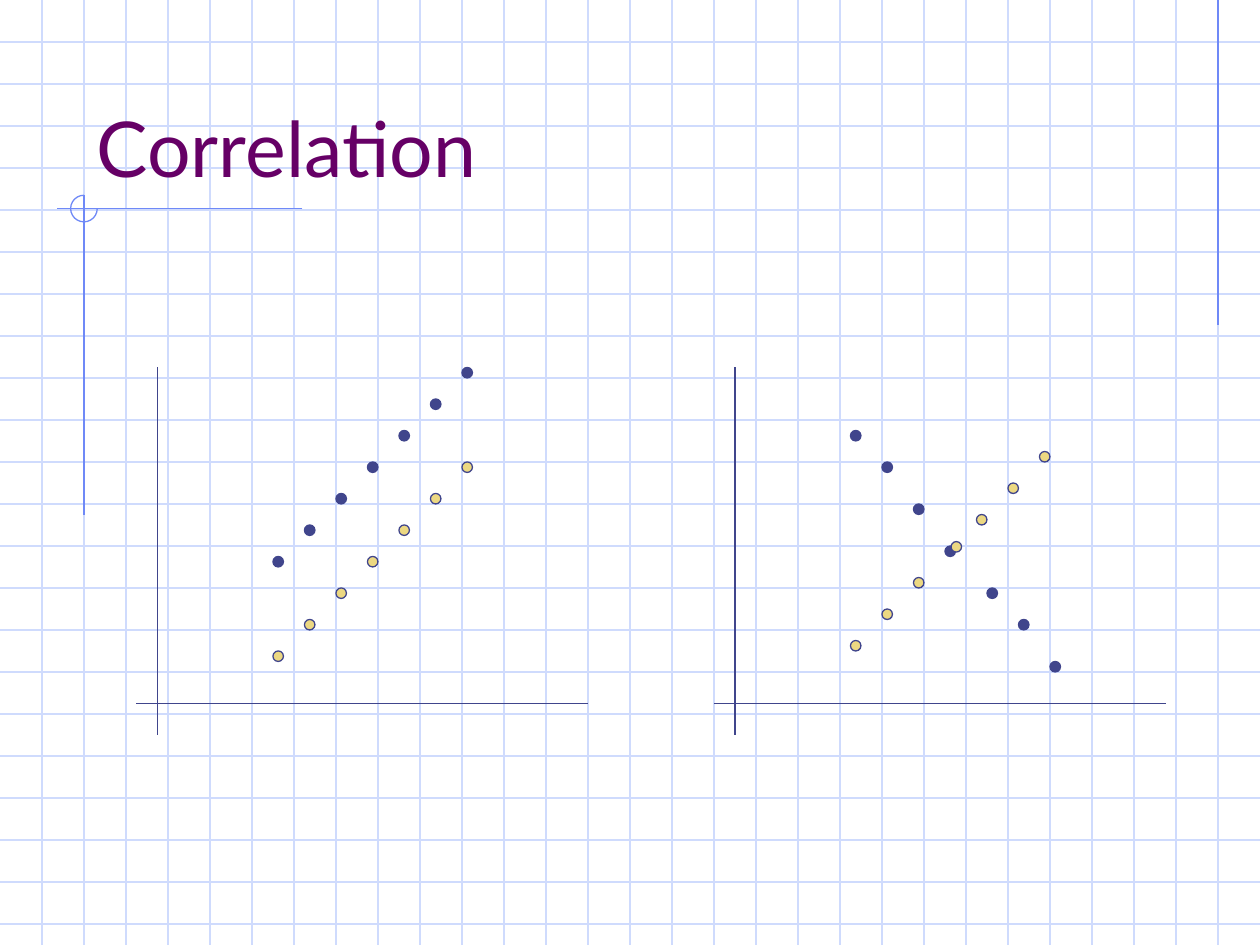
import pptx
import pptx.util
import pptx.dml.color
import pptx.enum.shapes
import pptx.enum.text
import lxml.etree
import pptx.oxml.ns

Pt = pptx.util.Pt
WIDE, HIGH, STEP = 720, 540, 24
GRID, TRIM, INK, GOLD, PLUM = "CFDBFD", "6F89F7", "40458C", "ECD882", "660066"
DOT = 6
GAP = 18


def color(code):
    return pptx.dml.color.RGBColor.from_string(code)


def line(slide, x1, y1, x2, y2, code):
    kind = pptx.enum.shapes.MSO_CONNECTOR.STRAIGHT
    rule = slide.shapes.add_connector(kind, Pt(x1), Pt(y1), Pt(x2), Pt(y2))
    rule.line.color.rgb = color(code)
    rule.line.width = Pt(0.75)
    props = rule.element.spPr
    lxml.etree.SubElement(props, pptx.oxml.ns.qn("a:effectLst"))


def shape(slide, kind, x, y, size, edge, fill=None):
    item = slide.shapes.add_shape(kind, Pt(x), Pt(y), Pt(size), Pt(size))
    item.shadow.inherit = False
    item.line.color.rgb = color(edge)
    item.line.width = Pt(0.75)
    if fill:
        item.fill.solid()
        item.fill.fore_color.rgb = color(fill)
    else:
        item.fill.background()
    return item


def grid(slide):
    for y in range(STEP, HIGH, STEP):
        line(slide, 0, y, WIDE, y, GRID)
    for x in range(STEP, WIDE, STEP):
        line(slide, x, 0, x, HIGH, GRID)


def trim(slide):
    line(slide, 696, 0, 696, 185.75, TRIM)
    line(slide, 172.8, 119.25, 32.4, 119.25, TRIM)
    line(slide, 48, 111.6, 48, 294.5, TRIM)
    kind = pptx.enum.shapes.MSO_SHAPE.ARC
    arc = shape(slide, kind, 40.4, 111.6, 15.2, TRIM)
    arc.adjustments[0] = 0
    arc.adjustments[1] = 162


def title(slide, text):
    head = slide.shapes.title
    head.left, head.top = Pt(48), Pt(24)
    head.width, head.height = Pt(612), Pt(90)
    frame = head.text_frame
    frame.text = text
    frame.word_wrap = True
    frame.auto_size = pptx.enum.text.MSO_AUTO_SIZE.NONE
    frame.vertical_anchor = pptx.enum.text.MSO_ANCHOR.BOTTOM
    para = frame.paragraphs[0]
    para.alignment = pptx.enum.text.PP_ALIGN.LEFT
    font = para.runs[0].font
    font.name = "Lato"
    font.size = Pt(44)
    font.color.rgb = color(PLUM)
    head.element.getparent().append(head.element)


def axes(slide, x):
    line(slide, x, 402, x + 258, 402, INK)
    line(slide, x + 12, 210, x + 12, 420, INK)


def dots(slide, points, fill):
    for x, y in points:
        shape(slide, pptx.enum.shapes.MSO_SHAPE.OVAL, x, y, DOT, INK, fill)


def rise(x, y):
    return [(x + GAP * i, y - GAP * i) for i in range(7)]


def main():
    deck = pptx.Presentation()
    deck.slide_width, deck.slide_height = Pt(WIDE), Pt(HIGH)
    slide = deck.slides.add_slide(deck.slide_layouts[5])
    grid(slide)
    trim(slide)
    title(slide, "Correlation")
    axes(slide, 78)
    axes(slide, 408)

    dots(slide, rise(156, 372), GOLD)
    dots(slide, rise(156, 318), INK)

    fall = [(486, 246), (504, 264), (522, 288), (540, 312),
            (564, 336), (582, 354), (600, 378)]
    climb = rise(486, 366)
    climb[3] = (543.5, 309.5)
    dots(slide, fall, INK)
    dots(slide, climb, GOLD)
    deck.save("out.pptx")


if __name__ == "__main__":
    main()
